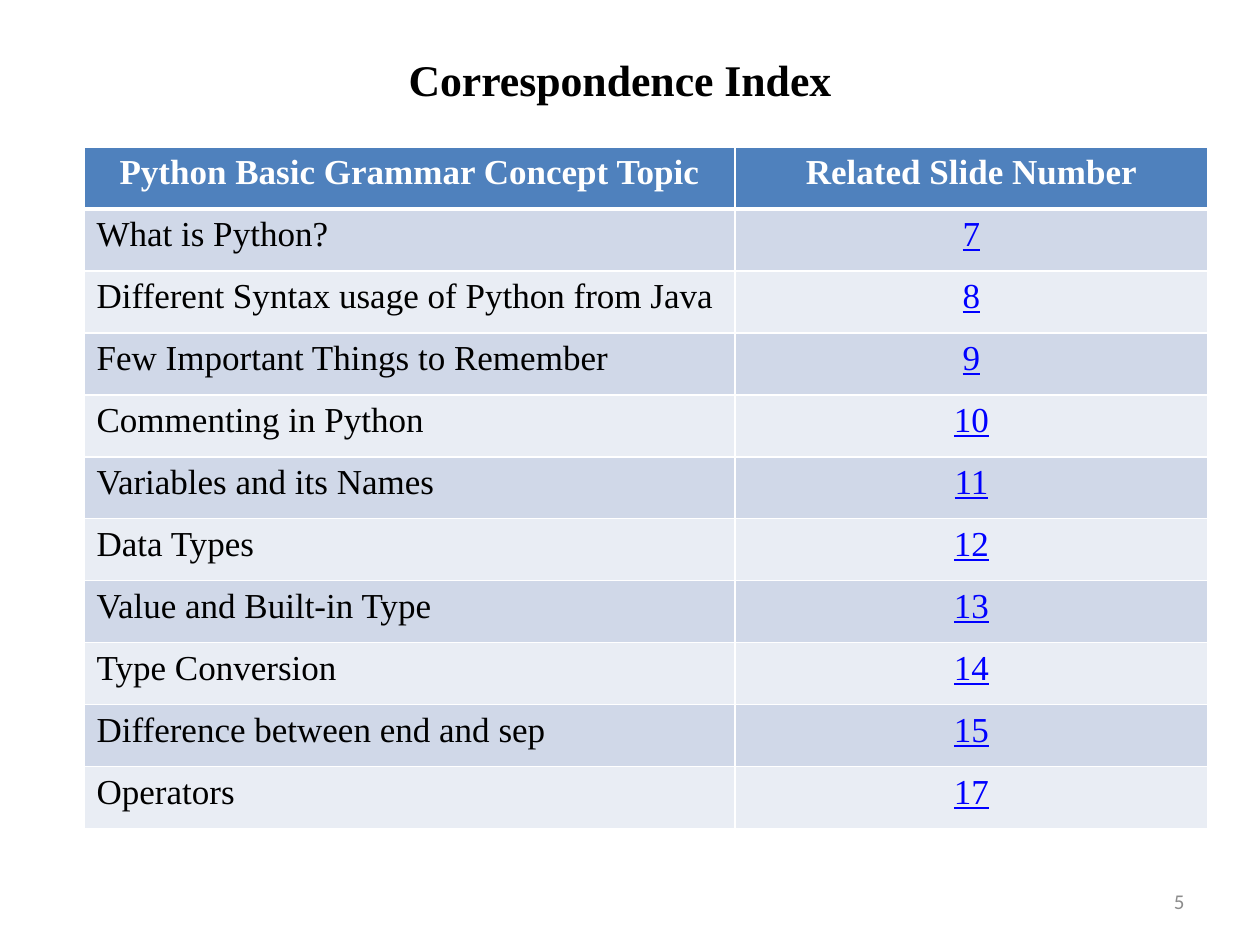
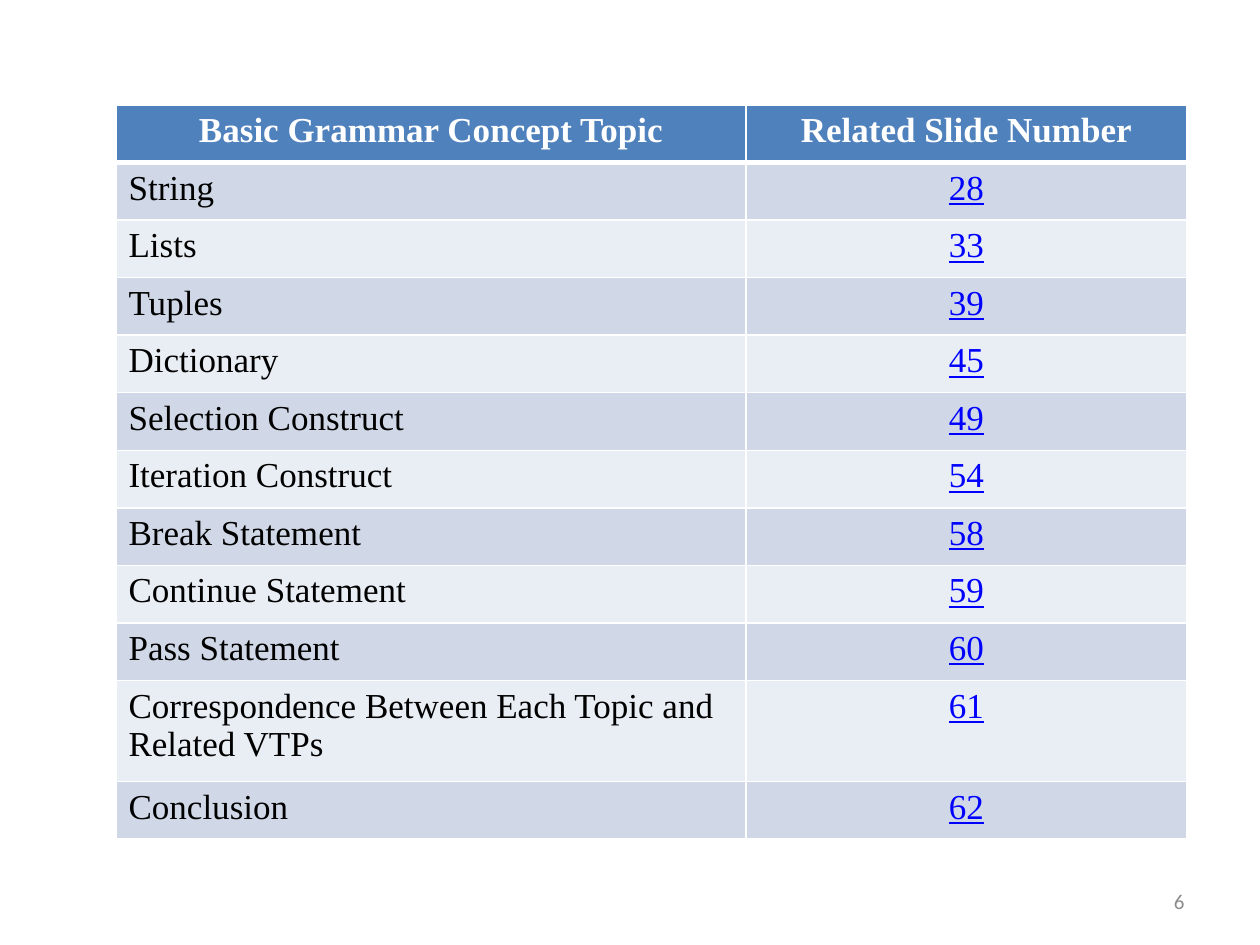
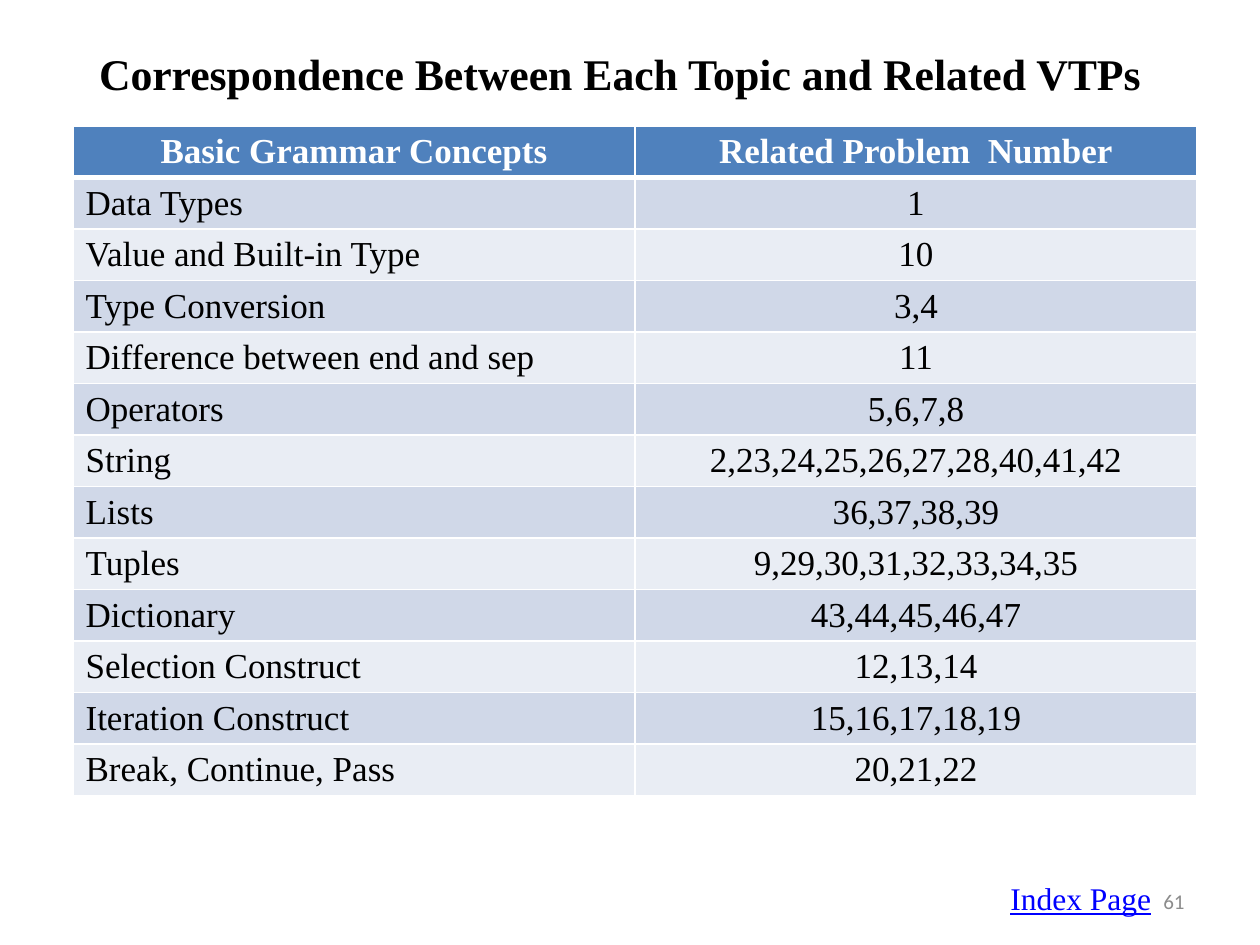
from dataclasses import dataclass

from lxml.etree import SubElement
from pptx import Presentation
from pptx.dml.color import RGBColor
from pptx.enum.text import MSO_ANCHOR, MSO_AUTO_SIZE, PP_ALIGN
from pptx.oxml.ns import qn
from pptx.util import Emu, Pt


@dataclass(frozen=True)
class Theme:
    """Colours, fonts, type sizes and line widths of all slides."""

    background: str = "FFFFFF"
    ink: str = "000000"
    link: str = "0000FF"
    number: str = "8C8C8C"
    header: str = "4F81BD"
    header_text: str = "FFFFFF"
    bands: tuple = ("D0D8E8", "E9EDF4")
    border: str = "FFFFFF"
    serif: str = "Times New Roman"
    sans: str = "Calibri"
    title_size: int = 25
    table_size: int = 20
    link_size: int = 18
    number_size: int = 12
    thin: int = 1
    thick: int = 3


@dataclass(frozen=True)
class Box:
    """A rectangle in px."""

    left: int
    top: int
    width: int
    height: int

    def emu(self):
        """Return left, top, width and height in EMU."""
        return [px(value) for value in (self.left, self.top, self.width, self.height)]


THEME = Theme()
PX_PER_INCH = 126
SLIDE = Box(0, 0, 1260, 945)
NUMBER_BOX = Box(903, 876, 294, 50)
INDEX_BOX = Box(998, 873, 168, 50)

TOPICS = (
    ("Python Basic Grammar Concept Topic", "Related Slide Number"),
    ("What is Python?", "7"),
    ("Different Syntax usage of Python from Java", "8"),
    ("Few Important Things to Remember", "9"),
    ("Commenting in Python", "10"),
    ("Variables and its Names", "11"),
    ("Data Types", "12"),
    ("Value and Built-in Type", "13"),
    ("Type Conversion", "14"),
    ("Difference between end and sep", "15"),
    ("Operators", "17"),
)
MORE_TOPICS = (
    ("Basic Grammar Concept Topic", "Related Slide Number"),
    ("String", "28"),
    ("Lists", "33"),
    ("Tuples", "39"),
    ("Dictionary", "45"),
    ("Selection Construct", "49"),
    ("Iteration Construct", "54"),
    ("Break Statement", "58"),
    ("Continue Statement", "59"),
    ("Pass Statement", "60"),
    ("Correspondence Between Each Topic and Related VTPs", "61"),
    ("Conclusion", "62"),
)
PROBLEMS = (
    ("Basic Grammar Concepts", "Related Problem  Number"),
    ("Data Types", "1"),
    ("Value and Built-in Type", "10"),
    ("Type Conversion", "3,4"),
    ("Difference between end and sep", "11"),
    ("Operators", "5,6,7,8"),
    ("String", "2,23,24,25,26,27,28,40,41,42"),
    ("Lists", "36,37,38,39"),
    ("Tuples", "9,29,30,31,32,33,34,35"),
    ("Dictionary", "43,44,45,46,47"),
    ("Selection Construct", "12,13,14"),
    ("Iteration Construct", "15,16,17,18,19"),
    ("Break, Continue, Pass", "20,21,22"),
)


def px(value):
    """Turn px into EMU."""
    return Emu(round(value * 914400 / PX_PER_INCH))


def write_text(text_frame, text, *, size, color=THEME.ink, font=THEME.serif,
               align=PP_ALIGN.LEFT, bold=False, underline=False):
    """Write one formatted paragraph into a text frame."""
    paragraph = text_frame.paragraphs[0]
    paragraph.alignment = align
    run = paragraph.add_run()
    run.text = text
    run.font.name = font
    run.font.size = Pt(size)
    run.font.bold = bold
    run.font.underline = underline
    run.font.color.rgb = RGBColor.from_string(color)


def add_text(slide, box, text, *, anchor=MSO_ANCHOR.MIDDLE, wrap=True, **text_format):
    """Add a text box with one paragraph."""
    text_frame = slide.shapes.add_textbox(*box.emu()).text_frame
    text_frame.word_wrap = wrap
    text_frame.vertical_anchor = anchor
    text_frame.auto_size = MSO_AUTO_SIZE.NONE if wrap else MSO_AUTO_SIZE.SHAPE_TO_FIT_TEXT
    write_text(text_frame, text, **text_format)


def set_borders(cell, **widths):
    """Draw the borders of a cell, thin unless a width is given for a side."""
    properties = cell._tc.get_or_add_tcPr()
    for side in "LRTB":
        width = Pt(widths.get(side, THEME.thin))
        line = SubElement(properties, qn(f"a:ln{side}"), w=str(width))
        fill = SubElement(line, qn("a:solidFill"))
        SubElement(fill, qn("a:srgbClr"), val=THEME.border)


def style_cell(cell, row, column, text, linked):
    """Fill, border and write one cell by its place in the table."""
    number_column = column == 1
    if row == 0:
        set_borders(cell, B=THEME.thick)
        background, color = THEME.header, THEME.header_text
    else:
        set_borders(cell, T=THEME.thick if row == 1 else THEME.thin)
        background = THEME.bands[(row - 1) % 2]
        color = THEME.link if linked and number_column else THEME.ink
    cell.fill.solid()
    cell.fill.fore_color.rgb = RGBColor.from_string(background)
    centred = row == 0 or number_column
    write_text(cell.text_frame, text, size=THEME.table_size, color=color, bold=row == 0,
               align=PP_ALIGN.CENTER if centred else PP_ALIGN.LEFT,
               underline=color == THEME.link)


def add_index_table(slide, box, rows, first_width, linked=True, tall_rows=None):
    """Add a two-column table whose rows share the box height left by tall rows."""
    tall_rows = tall_rows or {}
    row_height = (box.height - sum(tall_rows.values())) / (len(rows) - len(tall_rows))
    table = slide.shapes.add_table(len(rows), 2, *box.emu()).table
    for column, width in zip(table.columns, (first_width, box.width - first_width)):
        column.width = px(width)
    for row, texts in enumerate(rows):
        table.rows[row].height = px(tall_rows.get(row, row_height))
        for column, text in enumerate(texts):
            style_cell(table.cell(row, column), row, column, text, linked)


def add_title(slide, text, top):
    """Add the centred slide title."""
    add_text(slide, Box(53, top, 1134, 158), text, size=THEME.title_size, bold=True,
             align=PP_ALIGN.CENTER)


def add_slide(presentation, number):
    """Add a blank slide with its background and slide number."""
    slide = presentation.slides.add_slide(presentation.slide_layouts[6])
    slide.background.fill.solid()
    slide.background.fill.fore_color.rgb = RGBColor.from_string(THEME.background)
    add_text(slide, NUMBER_BOX, str(number), size=THEME.number_size, font=THEME.sans,
             color=THEME.number, align=PP_ALIGN.RIGHT)
    return slide


def main():
    """Build the three index slides and save them."""
    presentation = Presentation()
    presentation.slide_width = px(SLIDE.width)
    presentation.slide_height = px(SLIDE.height)

    slide = add_slide(presentation, 5)
    add_title(slide, "Correspondence Index", top=0)
    add_index_table(slide, Box(84, 147, 1124, 682), TOPICS, first_width=651)

    slide = add_slide(presentation, 6)
    add_index_table(slide, Box(116, 105, 1071, 734), MORE_TOPICS, first_width=630,
                    tall_rows={10: 101})

    slide = add_slide(presentation, 61)
    add_title(slide, "Correspondence Between Each Topic and Related VTPs", top=-6)
    add_index_table(slide, Box(73, 126, 1124, 670), PROBLEMS, first_width=562, linked=False)
    add_text(slide, INDEX_BOX, "Index Page", size=THEME.link_size, color=THEME.link,
             underline=True, align=PP_ALIGN.JUSTIFY, anchor=MSO_ANCHOR.TOP, wrap=False)

    presentation.save("out.pptx")


if __name__ == "__main__":
    main()
